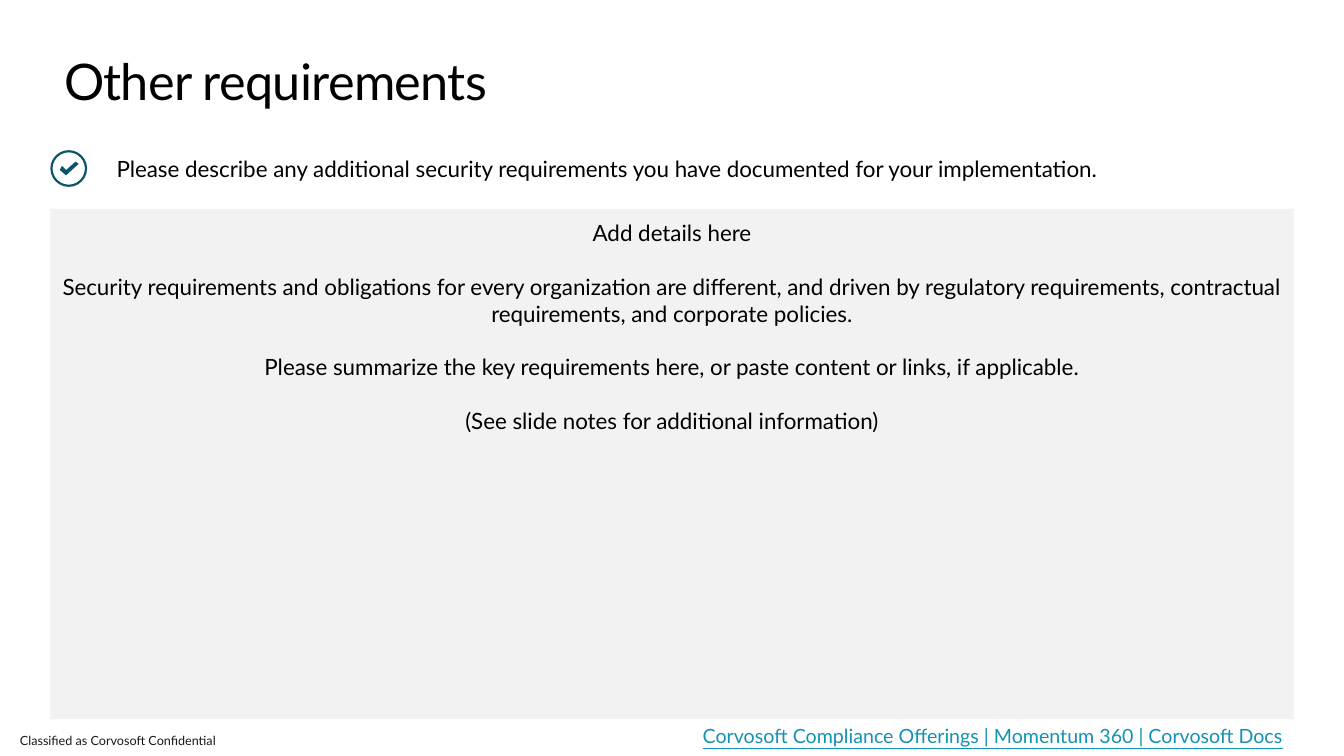
"""Build the "Other requirements" slide of a security review deck."""
from pptx import Presentation
from pptx.dml.color import RGBColor
from pptx.enum.shapes import MSO_SHAPE
from pptx.enum.text import MSO_ANCHOR, MSO_AUTO_SIZE, PP_ALIGN
from pptx.util import Emu, Pt

RECTANGLE, DONUT = MSO_SHAPE.RECTANGLE, MSO_SHAPE.DONUT
TOP, MIDDLE = MSO_ANCHOR.TOP, MSO_ANCHOR.MIDDLE
LEFT, CENTER, RIGHT = PP_ALIGN.LEFT, PP_ALIGN.CENTER, PP_ALIGN.RIGHT
NO_AUTOFIT = MSO_AUTO_SIZE.NONE
PX = 9525
THEME = {
    "font": "Lato",
    "ink": "000000", "footer": "191919", "link": "1392B3",
    "icon": "0B5569", "panel": "F2F2F2",
    "title_size": 36, "body_size": 16, "link_size": 14, "footer_size": 9,
}


def px(*lengths):
    return [Emu(length * PX) for length in lengths]


def write(box, lines, size, color, insets, anchor=MIDDLE, align=LEFT, gap=0, spacing=1.0, underline=None):
    frame = box.text_frame
    left, top, right, bottom = px(*insets)
    frame_format = {
        "word_wrap": True, "auto_size": NO_AUTOFIT, "vertical_anchor": anchor,
        "margin_left": left, "margin_top": top, "margin_right": right, "margin_bottom": bottom,
    }
    for name, value in frame_format.items():
        setattr(frame, name, value)
    for index, line in enumerate(lines):
        para = frame.add_paragraph() if index else frame.paragraphs[0]
        para_format = {"alignment": align, "line_spacing": spacing, "space_before": Pt(gap if index else 0)}
        for name, value in para_format.items():
            setattr(para, name, value)
        span = para.add_run()
        span.text = line
        span_format = {"name": THEME["font"], "size": Pt(THEME[size]), "underline": underline}
        for name, value in span_format.items():
            setattr(span.font, name, value)
        span.font.color.rgb = RGBColor.from_string(THEME[color])


deck = Presentation()
deck.slide_width, deck.slide_height = px(1280, 720)
page = deck.slides.add_slide(deck.slide_layouts[5])
shapes = page.shapes

title = shapes.title
title.left, title.top, title.width, title.height = px(61, 48, 1157, 59)
write(title, ["Other requirements"], "title_size", "ink", (0, 0, 0, 0), anchor=TOP)
title.text_frame.paragraphs[0].runs[0].font._element.set("spc", "-50")

prompt = shapes.add_textbox(*px(53, 133, 1179, 55))
write(prompt, ["Please describe any additional security requirements you have documented for your implementation."],
      "body_size", "ink", (58, 5, 10, 5))

ring = shapes.add_shape(DONUT, *px(48, 143, 35, 35))
ring.adjustments[0] = 0.06

check_outline = [(72, 154), (63, 162), (59, 158), (57, 162), (63, 167), (75, 156)]
builder = shapes.build_freeform(*check_outline[0], scale=PX)
builder.add_line_segments(check_outline[1:], close=True)
check = builder.convert_to_shape()

panel = shapes.add_shape(RECTANGLE, *px(48, 199, 1184, 486))
for shape, color in ((ring, "icon"), (check, "icon"), (panel, "panel")):
    shape.shadow.inherit = False
    shape.fill.solid()
    shape.fill.fore_color.rgb = RGBColor.from_string(THEME[color])
    shape.line.fill.background()

details = [
    "Add details here",
    "Security requirements and obligations for every organization are different, and driven by "
    "regulatory requirements, contractual requirements, and corporate policies.",
    "Please summarize the key requirements here, or paste content or links, if applicable.",
    "(See slide notes for additional information)",
]
write(panel, details, "body_size", "ink", (10, 10, 10, 5), anchor=TOP, align=CENTER, gap=19)

reference = shapes.add_textbox(*px(523, 684, 709, 32))
write(reference, ["Corvosoft Compliance Offerings | Momentum 360 | Corvosoft Docs"],
      "link_size", "link", (10, 5, 10, 5), anchor=TOP, align=RIGHT, underline=True)

classification = shapes.add_textbox(*px(0, 700, 223, 13))
write(classification, ["Classified as Corvosoft Confidential"],
      "footer_size", "footer", (19, 0, 0, 0), spacing=0.9)

deck.save("out.pptx")
